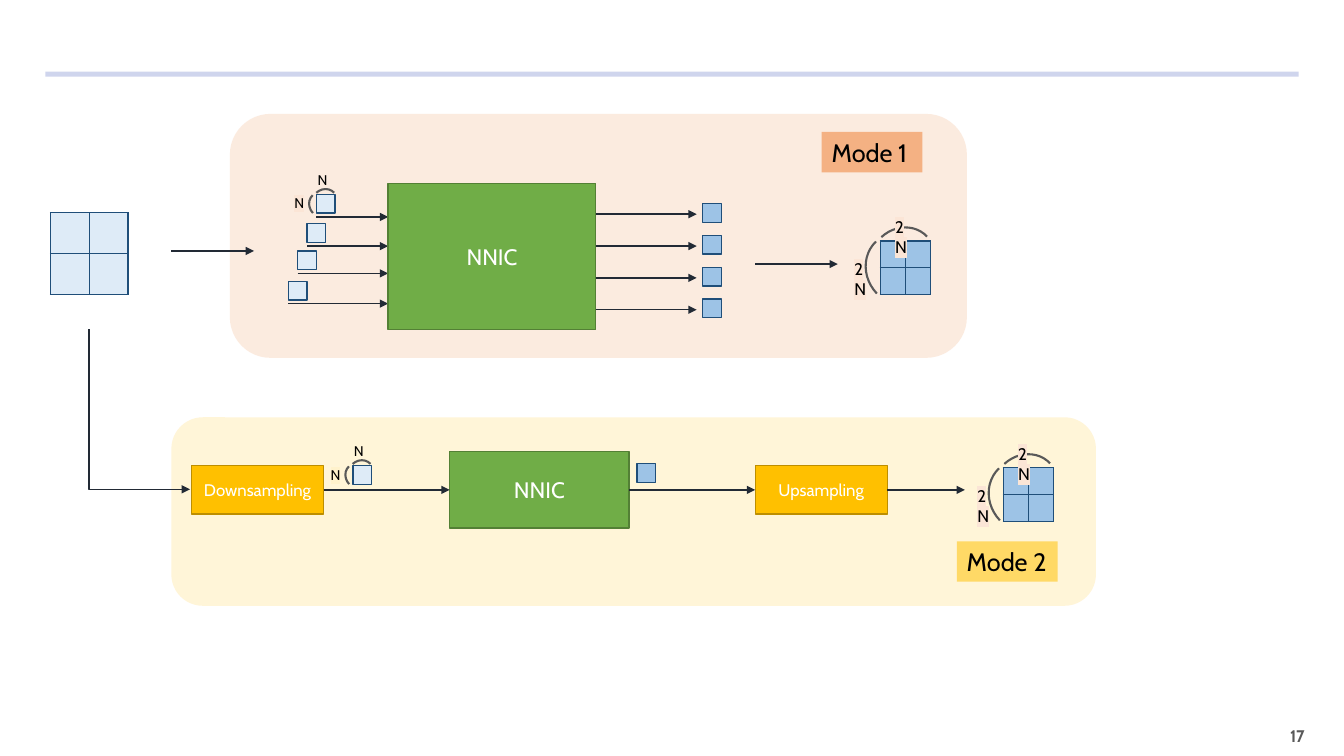
"""Draw the two coding modes of the NNIC pipeline on one slide."""
from dataclasses import dataclass
from typing import Any, Optional

from lxml import etree
from pptx import Presentation, util as u
from pptx.dml import color as dc
from pptx.enum import shapes as sh, text as tx
from pptx.oxml import ns

COLS, ROWS = 133.3, 75
UNIT = u.Inches(0.1)
FONT = "Cabin"
HUES = {
    "bar": "6275C6", "page": "595959", "cream": "FFF2CC", "peach": "FBE5D6",
    "pale": "DEEBF7", "sky": "9DC3E6", "navy": "1F4E79", "ink": "222A35",
    "green": "70AD47", "moss": "538035", "gold": "FFC000", "ochre": "BD8E00",
    "coral": "F4B183", "sand": "FFD966", "white": "FFFFFF", "black": "000000",
}
RECT, ROUND = sh.MSO_SHAPE.RECTANGLE, sh.MSO_SHAPE.ROUNDED_RECTANGLE
LEFT, MID, RIGHT = tx.PP_ALIGN.LEFT, tx.PP_ALIGN.CENTER, tx.PP_ALIGN.RIGHT


@dataclass
class Box:
    """A filled shape placed in grid columns and rows."""
    x: float
    y: float
    w: float
    h: float
    fill: str
    line: str = ""
    form: Any = RECT
    alpha: int = 100
    text: str = ""
    size: int = 12
    ink: str = "white"
    align: Any = MID


@dataclass
class Label:
    """A text box placed in grid columns and rows."""
    x: float
    y: float
    w: float
    h: float
    text: str
    size: int
    back: str = ""
    align: Any = LEFT
    ink: str = "black"
    bold: bool = False
    wrap: bool = False
    pad: float = 1


@dataclass
class Arc:
    """A bracket arc, offset from the block it spans."""
    x: float
    y: float
    w: float
    h: float
    turn: float


def grid(*cells: float) -> list[u.Emu]:
    return [u.Emu(round(c * UNIT)) for c in cells]


def hue(name: str) -> dc.RGBColor:
    return dc.RGBColor.from_string(HUES[name])


def sub(node: Any, tag: str, **attrs: str) -> Any:
    return etree.SubElement(node, ns.qn(tag), attrs)


def write(frame: Any, item: Any, bold: bool = False) -> Any:
    para = frame.paragraphs[0]
    para.alignment = item.align
    para.font.name, para.font.size = FONT, u.Pt(item.size)
    para.font.bold = bold
    para.font.color.rgb = hue(item.ink)
    run = para.add_run()
    run.text = item.text
    return run


def draw_box(page: Any, box: Box) -> Any:
    shape = page.shapes.add_shape(box.form, *grid(box.x, box.y, box.w, box.h))
    shape.shadow.inherit = False
    shape.fill.solid()
    shape.fill.fore_color.rgb = hue(box.fill)
    if box.alpha < 100:
        tint = shape.fill._xPr.find(".//" + ns.qn("a:srgbClr"))
        sub(tint, "a:alpha", val=str(box.alpha * 1000))
    if box.line:
        shape.line.color.rgb = hue(box.line)
        shape.line.width = u.Pt(1)
    else:
        shape.line.fill.background()
    if box.text:
        shape.text_frame.word_wrap = False
        write(shape.text_frame, box)
    return shape


def draw_label(page: Any, item: Label) -> None:
    frame = page.shapes.add_textbox(*grid(item.x, item.y, item.w, item.h)).text_frame
    frame.word_wrap = item.wrap
    frame.margin_left = frame.margin_right = grid(item.pad)[0]
    run = write(frame, item, item.bold)
    if item.back:
        mark = sub(run._r.get_or_add_rPr(), "a:highlight")
        sub(mark, "a:srgbClr", val=HUES[item.back])


def draw_arc(page: Any, x: float, y: float, arc: Arc) -> None:
    shape = page.shapes.add_shape(
        sh.MSO_SHAPE.ARC, *grid(x + arc.x, y + arc.y, arc.w, arc.h))
    shape.shadow.inherit = False
    shape.rotation = arc.turn
    shape.fill.background()
    shape.line.color.rgb = hue("page")
    shape.line.width = u.Pt(1.5)


def arrow(page: Any, x: float, y: float, to_x: float, to_y: float,
          start: Optional[Any] = None, end: Optional[Any] = None,
          kind: Any = sh.MSO_CONNECTOR.STRAIGHT) -> Any:
    link = page.shapes.add_connector(kind, *grid(x, y, to_x, to_y))
    if start is not None:
        link.begin_connect(start, 3)
    if end is not None:
        link.end_connect(end, 1)
    link.line.color.rgb = hue("ink")
    link.line.width = u.Pt(1)
    sub(link.line._get_or_add_ln(), "a:tailEnd", type="triangle")
    sub(link._element.spPr, "a:effectLst")
    return link


def draw_block(page: Any, x: float, y: float, w: float, h: float, fill: str) -> None:
    table = page.shapes.add_table(2, 2, *grid(x, y, w, h)).table
    table.first_row = table.horz_banding = False
    for cell in table.iter_cells():
        cell.margin_left = cell.margin_right = 0
        cell.margin_top = cell.margin_bottom = 0
        sub(cell.text_frame.paragraphs[0]._p, "a:endParaRPr", sz="800")
        props = cell._tc.get_or_add_tcPr()
        for side in ("L", "R", "T", "B"):
            edge = sub(props, f"a:ln{side}", w=str(u.Pt(1)))
            sub(sub(edge, "a:solidFill"), "a:srgbClr", val=HUES["navy"])
        cell.fill.solid()
        cell.fill.fore_color.rgb = hue(fill)


def draw_tile(page: Any, x: float, y: float, fill: str) -> None:
    draw_box(page, Box(x, y, 1.85, 1.85, fill, "navy"))


def small_marks(page: Any, x: float, y: float, back: str) -> None:
    draw_arc(page, x, y, Arc(-0.5, -0.5, 2.6, 2.4, 317))
    draw_arc(page, x, y, Arc(-0.8, -0.2, 2.6, 2.4, 226.4))
    draw_label(page, Label(x - 2.2, y - 0.45, 0.7, 2.7, "N", 10, back, MID, pad=0))
    draw_label(page, Label(x + 0.1, y - 2.8, 0.7, 2.7, "N", 10, align=MID, pad=0))


def result(page: Any, x: float, y: float) -> None:
    draw_block(page, x, y, 5, 5.3, "sky")
    draw_arc(page, x, y, Arc(-1.15, -1.2, 6.7, 6.1, 317))
    draw_arc(page, x, y, Arc(-1.6, -0.7, 7.6, 7, 226.4))
    for dx, dy in ((0.5, -2.9), (-3.55, 1.3)):
        draw_label(page, Label(x + dx, y + dy, 3.9, 3, "2N", 12, "peach", wrap=True))


def mode_one(page: Any) -> None:
    draw_block(page, 5, 21.1, 7.7, 8.1, "pale")
    for i, y in enumerate((27.9, 24.9, 22.2, 19.3)):
        x = 28.6 + 0.93 * i
        draw_tile(page, x, y, "pale")
        arrow(page, x, y + 2.22, 38.5, y + 2.22)
    small_marks(page, 31.4, 19.3, "peach")
    draw_box(page, Box(38.5, 18.2, 20.6, 14.5, "green", "moss", text="NNIC", size=16))
    for i in range(4):
        y = 20.2 + 3.16 * i
        draw_tile(page, 69.7, y, "sky")
        arrow(page, 59.1, y + 1.05, 69.1, y + 1.05)
    arrow(page, 17, 24.9, 25.2, 24.9)
    arrow(page, 74.9, 26.2, 83.1, 26.2)
    result(page, 87.3, 23.9)


def mode_two(page: Any) -> None:
    bend = arrow(page, 21.8, 35.6, 5.9, 45.6, kind=sh.MSO_CONNECTOR.ELBOW)
    bend._element.spPr.xfrm.set("rot", "16200000")
    guides = bend._element.spPr.prstGeom.get_or_add_avLst()
    sub(guides, "a:gd", name="adj1", fmla="val 100000")
    down, net, up = [draw_box(page, box) for box in (
        Box(19, 46.2, 13.1, 4.8, "gold", "ochre", text="Downsampling"),
        Box(44.6, 44.8, 17.8, 7.6, "green", "moss", text="NNIC", size=16),
        Box(74.9, 46.2, 13.1, 4.8, "gold", "ochre", text="Upsampling"))]
    arrow(page, 32.1, 48.6, 44.6, 48.6, down, net)
    arrow(page, 62.4, 48.6, 74.9, 48.6, net, up)
    arrow(page, 88, 48.6, 95.7, 48.6, up)
    draw_tile(page, 35, 46.2, "pale")
    small_marks(page, 35, 46.2, "cream")
    draw_tile(page, 63.2, 46, "sky")
    result(page, 99.5, 46.4)


def main() -> None:
    deck = Presentation()
    deck.slide_width, deck.slide_height = grid(COLS, ROWS)
    page = deck.slides.add_slide(deck.slide_layouts[6])
    draw_box(page, Box(4.5, 7.1, 124.3, 0.5, "bar", alpha=30))
    draw_label(page, Label(125.4, 71.5, 5, 3.2, "17", 12, align=RIGHT, ink="page", bold=True))
    draw_box(page, Box(17, 41.4, 91.7, 18.7, "cream", form=ROUND, alpha=76))
    draw_box(page, Box(22.8, 11.3, 73.1, 24.2, "peach", form=ROUND, alpha=76))
    mode_one(page)
    mode_two(page)
    for x, y, fill, name in ((81.5, 13.1, "coral", "Mode 1"), (94.9, 53.7, "sand", "Mode 2")):
        draw_box(page, Box(x, y, 10, 4, fill, text=name, size=18, ink="black", align=LEFT))
    deck.save("out.pptx")


if __name__ == "__main__":
    main()
